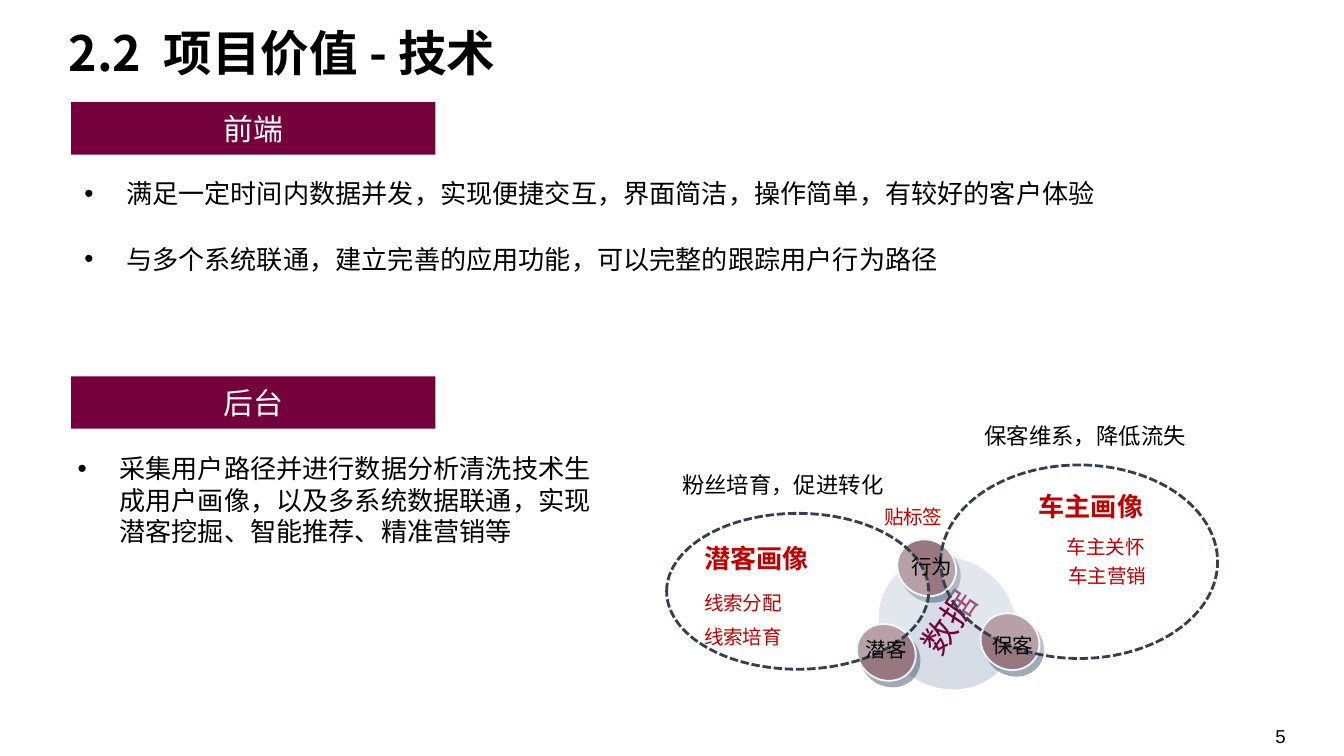
from lxml.etree import SubElement
from pptx import Presentation
from pptx.dml.color import RGBColor
from pptx.enum.dml import MSO_LINE
from pptx.enum.shapes import MSO_SHAPE
from pptx.enum.text import MSO_ANCHOR, MSO_AUTO_SIZE, PP_ALIGN
from pptx.oxml.ns import qn
from pptx.util import Inches, Pt

WINE = RGBColor(0x74, 0x00, 0x3C)
ROSE = RGBColor(0x98, 0x77, 0x7F)
RED = RGBColor(0xC0, 0x00, 0x00)
MIST = RGBColor(0xD6, 0xDC, 0xE5)
ICE = RGBColor(0xEB, 0xF5, 0xFF)
NAVY = RGBColor(0x33, 0x3F, 0x50)
BLACK = RGBColor(0, 0, 0)
WHITE = RGBColor(0xFF, 0xFF, 0xFF)
SANS, CJK, CJK_JP = "DejaVu Sans", "Noto Sans CJK SC", "Noto Sans CJK JP"
CELL = 0.1  # inches per grid column and row
TILT = 304.1


def place(box, col, row, wide, high):
    """Turn a cell range inside a box into slide lengths."""
    left, top = box[:2]
    return [Inches(n * CELL) for n in (left + col, top + row, wide, high)]


def style(frame, text, size, color, font=CJK, bold=False, align=PP_ALIGN.LEFT):
    frame.text = text
    para = frame.paragraphs[0]
    para.alignment = align
    run = para.runs[0]
    run.font.size = Pt(size)
    run.font.bold = bold
    run.font.color.rgb = color
    run.font.name = font
    SubElement(run.font._element, qn("a:ea"), typeface=font)
    return para


def write(slide, spot, text, size, color=BLACK, inset=True, **looks):
    frame = slide.shapes.add_textbox(*spot).text_frame
    frame.word_wrap = True
    frame.auto_size = MSO_AUTO_SIZE.SHAPE_TO_FIT_TEXT
    if not inset:
        frame.margin_left = frame.margin_right = 0
        frame.margin_top = frame.margin_bottom = 0
    return frame, style(frame, text, size, color, **looks)


def draw(slide, kind, spot, fill):
    shape = slide.shapes.add_shape(kind, *spot)
    shape.shadow.inherit = False
    shape.fill.solid()
    shape.fill.fore_color.rgb = fill
    shape.line.fill.background()
    return shape


def bullet(para):
    props = para._p.get_or_add_pPr()
    props.set("marL", str(Inches(0.31)))
    props.set("indent", str(-Inches(0.31)))
    SubElement(props, qn("a:buFont"), typeface="Arial")
    SubElement(props, qn("a:buChar"), char="•")


def section(slide, box, head, notes, start, shift=0):
    """Draw a heading band with bullets below it, filling the box's width."""
    wide, high = box[2:]
    band = draw(slide, MSO_SHAPE.RECTANGLE, place(box, 0, 0, 27.1, 3.9), WINE)
    frame = band.text_frame
    frame.vertical_anchor = MSO_ANCHOR.MIDDLE
    style(frame, head, 16, WHITE, SANS, align=PP_ALIGN.CENTER)
    step = (high - start) / len(notes)
    tall = 3.4 if len(notes) > 1 else step
    for i, note in enumerate(notes):
        spot = place(box, shift, start + i * step, wide, tall)
        bullet(write(slide, spot, note, 14, font=SANS)[1])


def cast(shape):
    """Give a shape a hard offset shadow."""
    effects = shape._element.spPr.find(qn("a:effectLst"))
    shade = SubElement(effects, qn("a:outerShdw"), blurRad="0",
                       dist=str(Pt(3.6)), dir=str(56 * 60000),
                       algn="ctr", rotWithShape="0")
    color = SubElement(shade, qn("a:srgbClr"), val="44546A")
    SubElement(color, qn("a:alpha"), val="50000")


def ring(slide, spot):
    """Draw a dashed, see-through ellipse."""
    shape = draw(slide, MSO_SHAPE.OVAL, spot, WHITE)
    color = shape._element.spPr.find(qn("a:solidFill"))[0]
    SubElement(color, qn("a:alpha"), val="31000")
    shape.line.color.rgb = NAVY
    shape.line.width = Pt(1.5)
    shape.line.dash_style = MSO_LINE.SQUARE_DOT


def data_map(slide, box):
    core = draw(slide, MSO_SHAPE.OVAL, place(box, 20.7, 11.1, 9.6, 10.5), MIST)
    core.rotation = TILT
    frame = core.text_frame
    frame.word_wrap = False
    frame.vertical_anchor = MSO_ANCHOR.MIDDLE
    style(frame, "数据", 18, WINE, CJK_JP)

    for col, row in ((18.9, 16.3), (21.9, 10), (28.1, 15.5)):
        node = draw(slide, MSO_SHAPE.OVAL, place(box, col, row, 4.1, 4.5), ROSE)
        node.rotation = TILT
        node.line.color.rgb = ICE
        node.line.width = Pt(1)
        cast(node)

    ring(slide, place(box, 4.6, 8.2, 19.5, 11.6))
    ring(slide, place(box, 25, 4.6, 20.6, 14.4))

    for text, size, col, row, wide, high in (
        ("粉丝培育，促进转化", 12, 2.3, 4.6, 21.9, 3),
        ("保客维系，降低流失", 12, 25, 0.9, 21.5, 3),
        ("行为", 11, 20.8, 10.7, 7.1, 2.9),
        ("潜客", 11, 17.4, 16.9, 7.1, 2.9),
        ("保客", 11, 26.8, 16.6, 7.1, 2.9),
    ):
        write(slide, place(box, col, row, wide, high), text, size,
              align=PP_ALIGN.CENTER)

    for text, col, row in (("潜客画像", 6.4, 9.9), ("车主画像", 31.3, 6)):
        write(slide, place(box, col, row, 10.4, 3.4), text, 14, RED, bold=True)

    for text, col, row, wide in (
        ("线索分配", 6.4, 13.5, 10.6),
        ("线索培育", 6.4, 16, 11.4),
        ("贴标签", 19.8, 7.1, 7.6),
        ("车主关怀", 33.4, 9.3, 12),
        ("车主营销", 33.5, 11.5, 11.9),
    ):
        write(slide, place(box, col, row, wide, 2.8), text, 10.5, RED)


def title(slide, box):
    write(slide, place(box, 0, 0, *box[2:]), "2.2  项目价值 - 技术", 26,
          inset=False, bold=True)


def number(slide, box):
    frame, _ = write(slide, place(box, 0, 0, *box[2:]), "5", 10,
                     inset=False, font="Arial")
    frame.vertical_anchor = MSO_ANCHOR.MIDDLE


def main():
    deck = Presentation()
    deck.slide_width = Inches(10)
    deck.slide_height = deck.slide_width * 9 // 16
    slide = deck.slides.add_slide(deck.slide_layouts[6])
    title(slide, (5.1, 1.7, 79.9, 4.4))
    section(slide, (5.3, 7.6, 79.7, 14.9), "前端", (
        "满足一定时间内数据并发，实现便捷交互，界面简洁，操作简单，有较好的客户体验",
        "与多个系统联通，建立完善的应用功能，可以完整的跟踪用户行为路径",
    ), start=5.1)
    section(slide, (5.3, 28, 40.3, 13.3), "后台", (
        "采集用户路径并进行数据分析清洗技术生成用户画像，以及多系统数据联通，"
        "实现潜客挖掘、智能推荐、精准营销等",
    ), start=5.2, shift=-0.5)
    data_map(slide, (45, 30, 50, 25))
    number(slide, (94.9, 53.9, 3.7, 1.7))
    deck.save("out.pptx")


if __name__ == "__main__":
    main()
